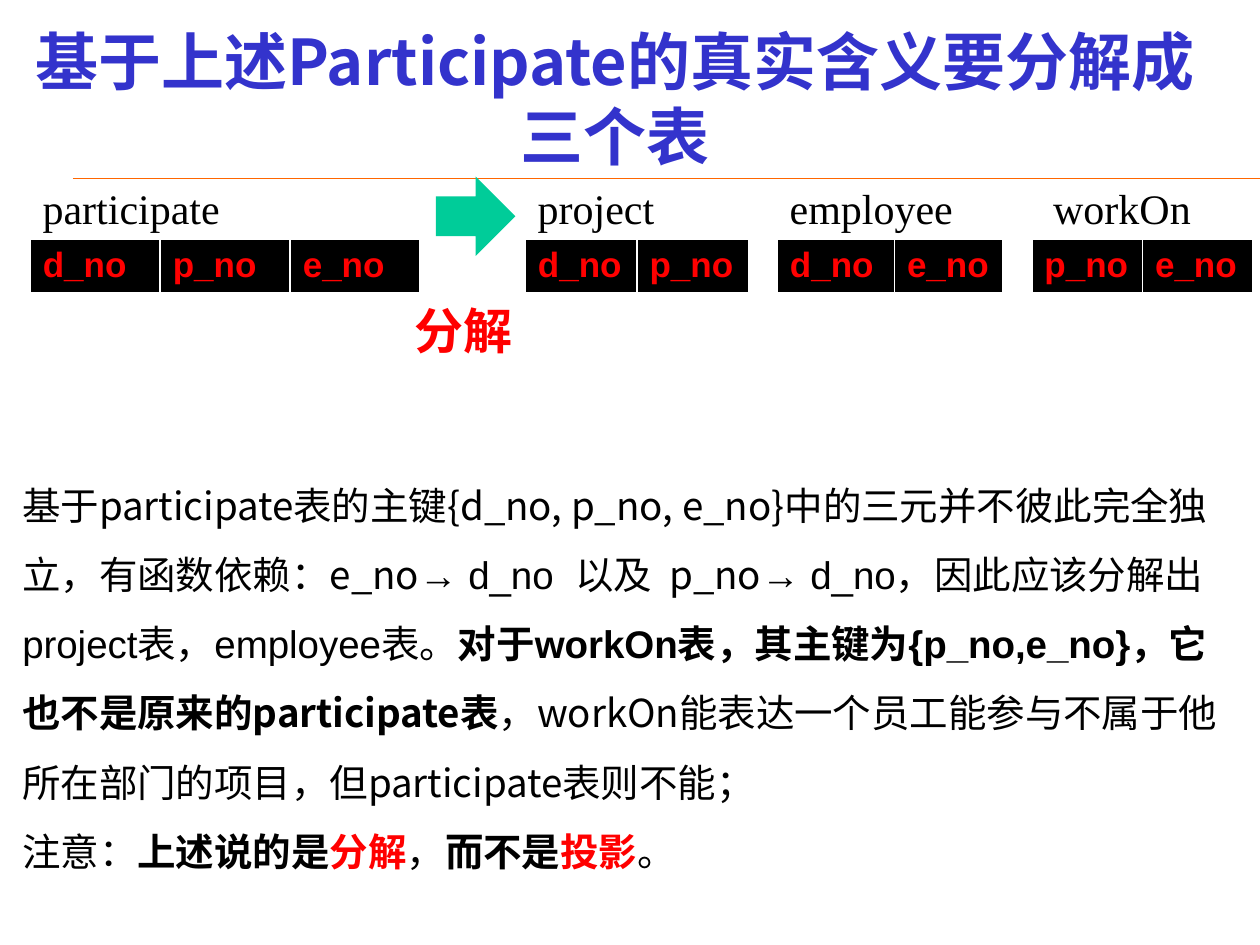
from lxml import etree
from pptx import Presentation
from pptx.dml.color import RGBColor
from pptx.enum.shapes import MSO_CONNECTOR, MSO_SHAPE
from pptx.enum.text import MSO_ANCHOR, PP_ALIGN
from pptx.oxml.ns import qn
from pptx.util import Cm, Pt

LINE = MSO_CONNECTOR.STRAIGHT
ARROW = MSO_SHAPE.RIGHT_ARROW
CENTER = PP_ALIGN.CENTER
TOP, MIDDLE = MSO_ANCHOR.TOP, MSO_ANCHOR.MIDDLE

COLORS = {
    "title": "3333CC",
    "rule": "FF6600",
    "text": "000000",
    "accent": "FF0000",
    "cell": "000000",
    "border": "FFFFFF",
    "arrow": "00CC99",
}
CJK, SANS, SERIF = "Noto Sans CJK SC", "Arial", "Times New Roman"

LABEL_TOP, TABLE_TOP, ROW_HEIGHT = 3.56, 4.83, 1.08
# name, label left, label width, table left, {column: width}
RELATIONS = [
    ("participate", 0.61, 5.08, 0.61, {"d_no": 2.62, "p_no": 2.62, "e_no": 2.62}),
    ("project", 10.59, 3.51, 10.59, {"d_no": 2.25, "p_no": 2.25}),
    ("employee", 15.67, 4.14, 15.67, {"d_no": 2.36, "e_no": 2.18}),
    ("workOn", 20.98, 4.01, 20.8, {"p_no": 2.23, "e_no": 2.22}),
]

# text, font, bold, colour
EXPLANATION = [
    [
        ("基于participate表的主键{d_no, p_no, e_no}中的三元并不彼此完全独立，"
         "有函数依赖：e_no", CJK, False, "text"),
        ("→ d_no  以及  ", SANS, False, "text"),
        ("p_no", CJK, False, "text"),
        ("→ d_no，因此应该分解出project表，employee表。", SANS, False, "text"),
        ("对于workOn表，其主键为{p_no,e_no}，它也不是原来的", SANS, True, "text"),
        ("participate表", CJK, True, "text"),
        ("，workOn能表达一个员工能参与不属于他所在部门的项目，"
         "但participate表则不能；", CJK, False, "text"),
    ],
    [
        ("注意：", CJK, False, "text"),
        ("上述说的是", CJK, True, "text"),
        ("分解", CJK, True, "accent"),
        ("，", CJK, False, "text"),
        ("而不是", CJK, True, "text"),
        ("投影", CJK, True, "accent"),
        ("。", CJK, False, "text"),
    ],
]


def rgb(key):
    return RGBColor.from_string(COLORS[key])


def set_font(font, name, size, color, bold=False):
    """Style a font; Chinese characters always use the CJK face."""
    font.name, font.size, font.bold = name, Pt(size), bold
    font.color.rgb = rgb(color)
    ea = etree.Element(qn("a:ea"), typeface=CJK)
    font._element.find(qn("a:latin")).addnext(ea)


def add_box(slide, left, top, width, height, wrap=True, anchor=TOP):
    tf = slide.shapes.add_textbox(Cm(left), Cm(top), Cm(width), Cm(height)).text_frame
    tf.word_wrap = wrap
    tf.vertical_anchor = anchor
    return tf


def add_text(tf, text, name, size, color, bold=False, align=None):
    p = tf.paragraphs[0]
    p.text = text
    p.alignment = align
    set_font(p.font, name, size, color, bold)


def add_explanation(slide):
    tf = add_box(slide, 0.2, 9.12, 24.79, 8.71)
    for i, runs in enumerate(EXPLANATION):
        p = tf.add_paragraph() if i else tf.paragraphs[0]
        p.line_spacing = 1.5
        for text, name, bold, color in runs:
            r = p.add_run()
            r.text = text
            set_font(r.font, name, 22, color, bold)


def add_borders(cell):
    tc_pr = cell._tc.get_or_add_tcPr()
    for side, width in (("L", 1), ("R", 1), ("T", 1), ("B", 3)):
        ln = etree.SubElement(tc_pr, qn(f"a:ln{side}"), w=str(Pt(width)))
        fill = etree.SubElement(ln, qn("a:solidFill"))
        etree.SubElement(fill, qn("a:srgbClr"), val=COLORS["border"])


def add_relation(slide, name, label_left, label_width, left, columns):
    """Draw a relation's name above the row of its attributes."""
    label = add_box(slide, label_left, LABEL_TOP, label_width, 1.27)
    add_text(label, name, SERIF, 24, "text")
    table = slide.shapes.add_table(
        1, len(columns), Cm(left), Cm(TABLE_TOP),
        Cm(sum(columns.values())), Cm(ROW_HEIGHT)).table
    for i, (attribute, width) in enumerate(columns.items()):
        table.columns[i].width = Cm(width)
        cell = table.cell(0, i)
        add_borders(cell)
        cell.fill.solid()
        cell.fill.fore_color.rgb = rgb("cell")
        add_text(cell.text_frame, attribute, SANS, 20, "accent", bold=True)


def add_rule(slide):
    sp = slide.shapes.add_connector(LINE, Cm(1.47), Cm(3.6), Cm(25.4), Cm(3.6))
    sp.line.color.rgb = rgb("rule")
    sp.line.width = Pt(0.75)
    etree.SubElement(sp._element.spPr, qn("a:effectLst"))


def add_arrow(slide):
    sp = slide.shapes.add_shape(ARROW, Cm(8.79), Cm(LABEL_TOP), Cm(1.6), Cm(1.6))
    sp.shadow.inherit = False
    sp.fill.solid()
    sp.fill.fore_color.rgb = rgb("arrow")
    sp.line.fill.background()


def main():
    prs = Presentation()
    prs.slide_width, prs.slide_height = Cm(25.4), Cm(19.05)
    slide = prs.slides.add_slide(prs.slide_layouts[6])
    add_rule(slide)
    title = add_box(slide, 0.15, 0.38, 24.49, 3.18, anchor=MIDDLE)
    add_text(title, "基于上述Participate的真实含义要分解成三个表",
             CJK, 36, "title", bold=True, align=CENTER)
    for relation in RELATIONS:
        add_relation(slide, *relation)
    add_explanation(slide)
    add_arrow(slide)
    caption = add_box(slide, 8.1, 5.94, 2.49, 1.45, wrap=False)
    add_text(caption, "分解", CJK, 28, "accent", bold=True)
    prs.save("out.pptx")


if __name__ == "__main__":
    main()
